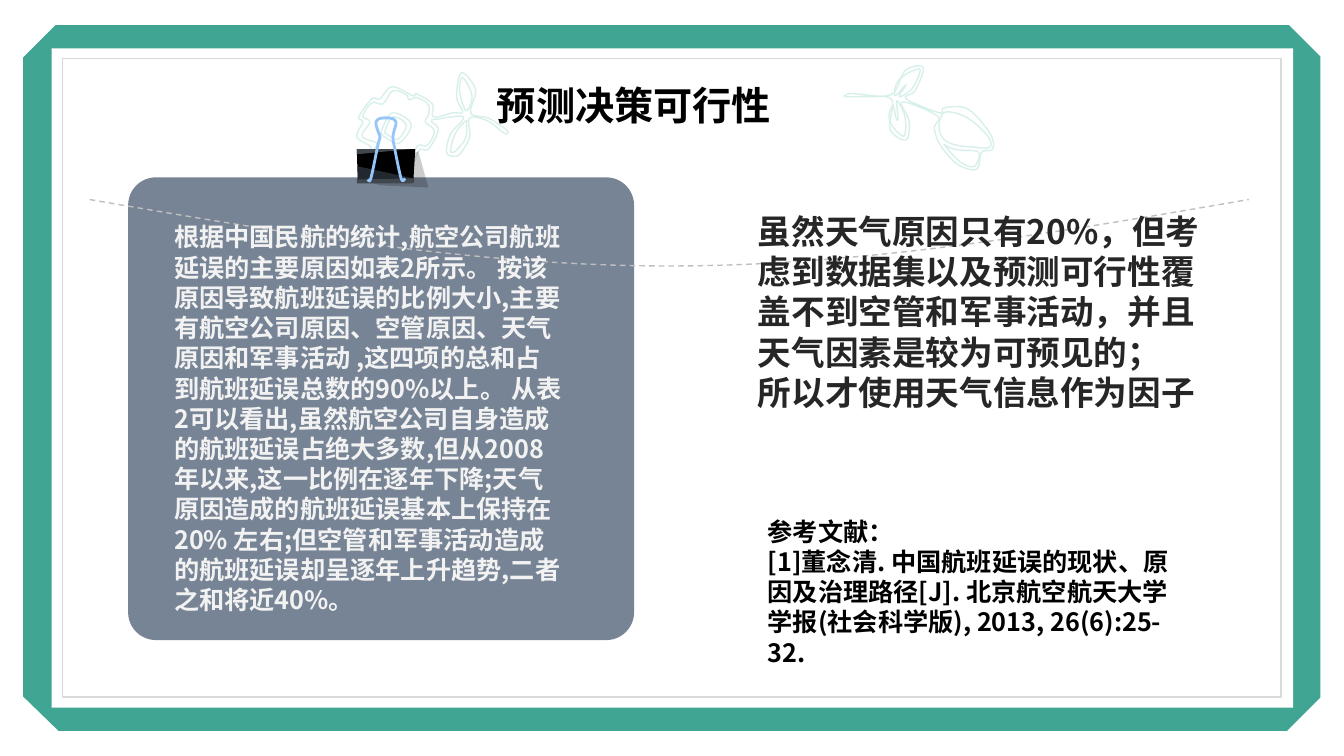
from lxml import etree
from pptx import Presentation
from pptx.dml.color import RGBColor
from pptx.enum.dml import MSO_LINE
from pptx.enum.shapes import MSO_SHAPE
from pptx.enum.text import MSO_ANCHOR, MSO_AUTO_SIZE, PP_ALIGN
from pptx.oxml.ns import qn
from pptx.util import Cm, Pt

FONT = "Noto Sans CJK SC"
GREEN, MINT, WHITE = "40A693", "D8F0EB", "FFFFFF"
UNIT = Cm(0.0254)  # grid step for outline points


def color(code):
    return RGBColor.from_string(code)


def smooth(points, closed=True, steps=5):
    """Curve that passes through every point."""
    count = len(points)
    curve = []
    for i in range(count if closed else count - 1):
        a, b, c, d = (
            points[j % count if closed else min(max(j, 0), count - 1)]
            for j in range(i - 1, i + 3)
        )
        for step in range(steps):
            t = step / steps
            curve.append(tuple(
                q + t / 2 * (r - p + t * (2 * p - 5 * q + 4 * r - s
                                          + t * (3 * q - p - 3 * r + s)))
                for p, q, r, s in zip(a, b, c, d)
            ))
    return curve if closed else curve + [points[-1]]


class Page:
    def __init__(self, deck):
        self.slide = deck.slides.add_slide(deck.slide_layouts[5])
        self.shapes = self.slide.shapes

    def style(self, shape, fill=None, line=None, width=1, alpha=None):
        shape.shadow.inherit = False
        if fill:
            shape.fill.solid()
            shape.fill.fore_color.rgb = color(fill)
        else:
            shape.fill.background()
        if alpha:
            tone = next(shape.element.iter(qn("a:srgbClr")))
            etree.SubElement(tone, qn("a:alpha"), val=str(alpha * 1000))
        if line:
            shape.line.color.rgb = color(line)
            shape.line.width = Pt(width)
        else:
            shape.line.fill.background()
        return shape

    def box(self, kind, place, fill, line=None):
        shape = self.shapes.add_shape(kind, *map(Cm, place))
        return self.style(shape, fill, line)

    def form(self, points, closed=True, **look):
        spots = [(x * UNIT, y * UNIT) for x, y in points]
        pen = self.shapes.build_freeform(*spots[0], scale=1.0)
        pen.add_line_segments(spots[1:], close=closed)
        return self.style(pen.convert_to_shape(), **look)

    def letter(self, shape, lines, size, tone):
        frame = shape.text_frame
        frame.word_wrap = True
        frame.auto_size = MSO_AUTO_SIZE.SHAPE_TO_FIT_TEXT
        frame.vertical_anchor = MSO_ANCHOR.TOP
        frame.text = "\n".join(lines)
        for para in frame.paragraphs:
            para.alignment = PP_ALIGN.LEFT
            para.line_spacing = Pt(size * 1.2)
            font = para.font
            font.name, font.size, font.bold = FONT, Pt(size), True
            font.color.rgb = color(tone)
            props = next(shape_part for shape_part
                         in para._p.iter(qn("a:defRPr")))
            etree.SubElement(props, qn("a:ea"), typeface=FONT)

    def title(self, place, text, size, tone):
        head = self.shapes.title
        head.left, head.top, head.width, head.height = map(Cm, place)
        head.element.getparent().append(head.element)
        self.letter(head, [text], size, tone)

    def text(self, place, lines, size, tone):
        self.letter(self.shapes.add_textbox(*map(Cm, place)), lines, size, tone)


# Outlines of the two flowers
BUD = [
    # stem with leaves and bud
    [(840, 94), (847, 93), (884, 94), (898, 70), (916, 67), (908, 90),
     (899, 98), (932, 112), (937, 107), (960, 108), (982, 132), (985, 148),
     (974, 151), (969, 168), (950, 163), (933, 144), (927, 127), (930, 115),
     (895, 101), (902, 120), (899, 139), (883, 128), (885, 99), (862, 96),
     (839, 96)],
    # upper leaf
    [(900, 73), (913, 69), (905, 88), (892, 96), (899, 84), (888, 95),
     (890, 82)],
    # lower leaf
    [(890, 100), (898, 116), (897, 135), (886, 126), (882, 115), (886, 105),
     (889, 117), (891, 118)],
    # petal
    [(939, 111), (960, 117), (980, 135), (982, 146), (966, 146), (945, 143),
     (934, 135), (932, 121)],
    # tip
    [(937, 144), (943, 147), (953, 149), (971, 151), (967, 165), (953, 161)],
]
BLOOM = [
    # whole flower
    [(354, 136), (368, 146), (365, 158), (380, 166), (389, 161), (406, 167),
     (416, 149), (425, 148), (435, 129), (428, 120), (435, 118), (460, 116),
     (447, 133), (443, 151), (450, 155), (457, 152), (466, 136), (466, 117),
     (484, 120), (500, 132), (504, 131), (499, 126), (484, 117), (467, 112),
     (472, 89), (458, 72), (453, 96), (459, 111), (449, 112), (430, 116),
     (429, 103), (413, 93), (410, 95), (389, 86), (377, 98), (369, 98),
     (356, 116), (360, 121)],
    # inner edge
    [(359, 135), (372, 141), (374, 143), (369, 156), (379, 162), (388, 155),
     (405, 163), (414, 145), (424, 144), (431, 130), (422, 121), (425, 114),
     (425, 104), (414, 97), (406, 99), (403, 94), (390, 90), (380, 103),
     (369, 102), (360, 115), (367, 121)],
    # rings of the heart
    [(379, 133), (382, 136), (396, 142), (408, 123), (389, 112), (378, 131)],
    [(382, 130), (385, 134), (395, 138), (403, 124), (390, 116)],
    # leaves
    [(447, 149), (450, 151), (454, 148), (462, 137), (463, 123), (462, 120),
     (452, 132)],
    [(458, 100), (463, 110), (468, 100), (467, 90), (459, 77), (456, 87)],
]

# Binder clip: outline, colour, opacity
CLIP = [
    ([(415, 150), (425, 186), (378, 184), (367, 181)], "000000", 20),
    ([(354, 148), (412, 148), (410, 181), (355, 181)], "000000", None),
    ([(355, 165), (410, 177), (410, 181), (355, 181)], "21282F", None),
    ([(354, 148), (407, 148), (354, 153)], "41474D", None),
    ([(354, 178), (410, 177), (410, 182), (354, 182)], "41474D", None),
]
WIRE = [(365, 178), (368, 177), (375, 144), (377, 136), (375, 130),
        (373, 122), (376, 118), (383, 117), (390, 118), (393, 122),
        (391, 130), (390, 136), (391, 144), (398, 177), (402, 177)]

CAUSES = (
    "根据中国民航的统计,航空公司航班延误的主要原因如表2所示。 "
    "按该原因导致航班延误的比例大小,主要有航空公司原因、空管原因、"
    "天气原因和军事活动 ,这四项的总和占到航班延误总数的90%以上。 "
    "从表2可以看出,虽然航空公司自身造成的航班延误占绝大多数,"
    "但从2008年以来,这一比例在逐年下降;天气原因造成的航班延误基本上保持在 20% 左右;"
    "但空管和军事活动造成的航班延误却呈逐年上升趋势,二者之和将近40%。"
)
REASON = [
    "虽然天气原因只有20%，但考虑到数据集以及预测可行性覆盖不到空管和军事活动，"
    "并且天气因素是较为可预见的；",
    "所以才使用天气信息作为因子",
]
SOURCE = [
    "参考文献：",
    "[1]董念清. 中国航班延误的现状、原因及治理路径[J]. "
    "北京航空航天大学学报(社会科学版), 2013, 26(6):25-32.",
]


def main():
    deck = Presentation()
    deck.slide_width, deck.slide_height = Cm(33.87), Cm(19.05)
    page = Page(deck)

    # Frame
    page.form([(55, 25), (1279, 25), (1310, 56), (1310, 692), (1277, 725),
               (58, 725), (23, 691), (23, 57)], fill=GREEN)
    page.box(MSO_SHAPE.RECTANGLE, (1.3, 1.22, 31.29, 16.61), WHITE)
    page.box(MSO_SHAPE.RECTANGLE, (1.57, 1.47, 30.71, 16.1), WHITE, "D9D9D9")

    # Flowers and title
    for part in BUD + BLOOM:
        page.form(smooth(part), line=MINT)
    page.title((12.27, 1.93, 8.36, 1.45), "预测决策可行性", 28, "000000")

    # Card with clip
    card = page.box(MSO_SHAPE.ROUNDED_RECTANGLE,
                    (3.23, 4.47, 12.75, 11.66), "778495")
    card.adjustments[0] = 0.06
    for points, fill, alpha in CLIP:
        page.form(points, fill=fill, alpha=alpha)
    page.form(smooth(WIRE, closed=False), closed=False, line="95C5F9", width=2)

    # Dashed arc
    arc = []
    for step in range(-20, 21):
        t = 1 - abs(step) / 20
        arc.append((664 + 575 * step / 20, 198 + 99 * t - 33 * t ** 3))
    curve = page.form(arc, closed=False, line="BFBFBF")
    curve.line.dash_style = MSO_LINE.DASH

    # Texts
    page.text((4.14, 5.46, 10.31, 10.26), [CAUSES], 18, "F2F2F2")
    page.text((18.85, 5.18, 11.79, 5.38), REASON, 24, "262626")
    page.text((19.1, 12.88, 10.87, 3.33), SOURCE, 18, "000000")

    deck.save("out.pptx")


if __name__ == "__main__":
    main()
